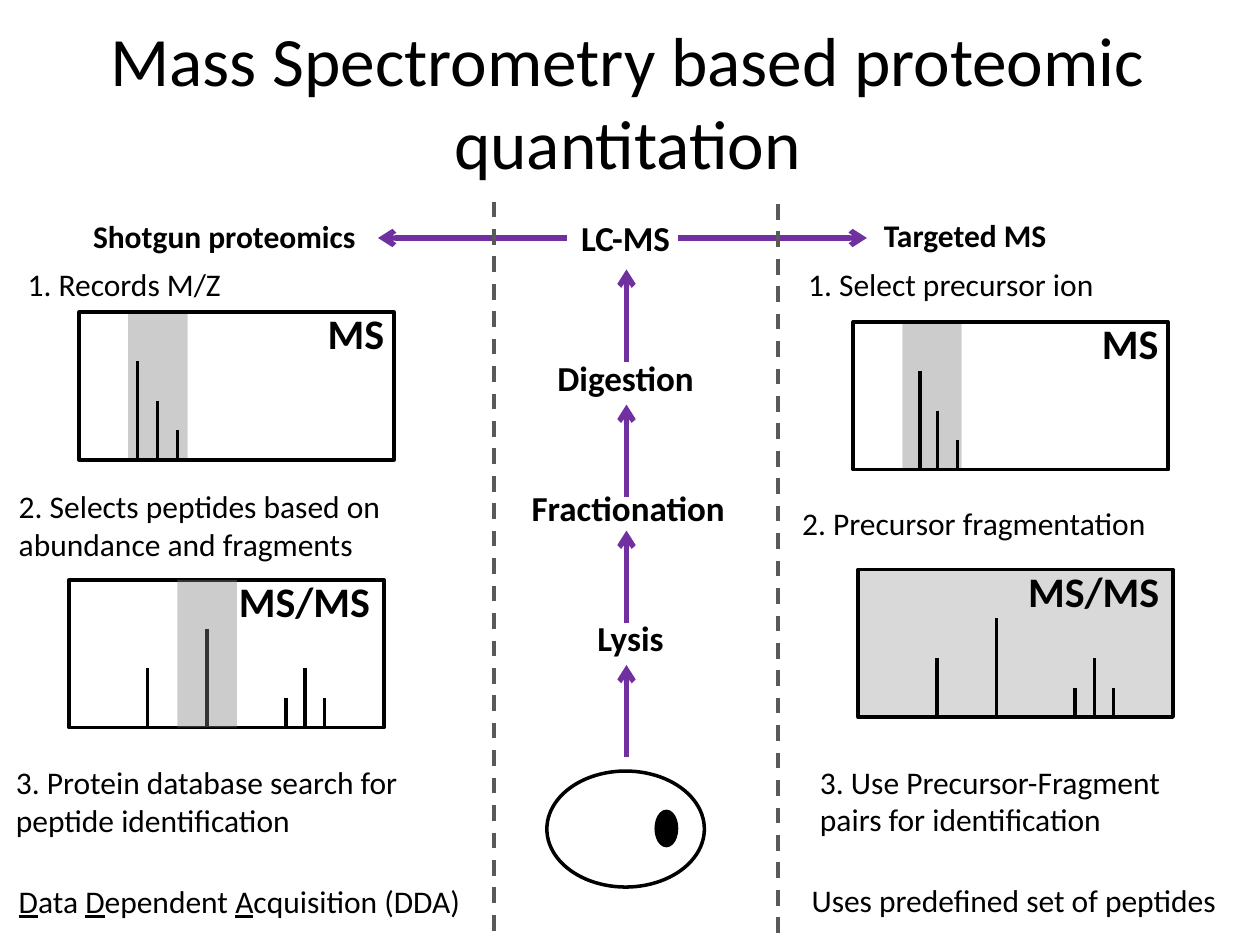
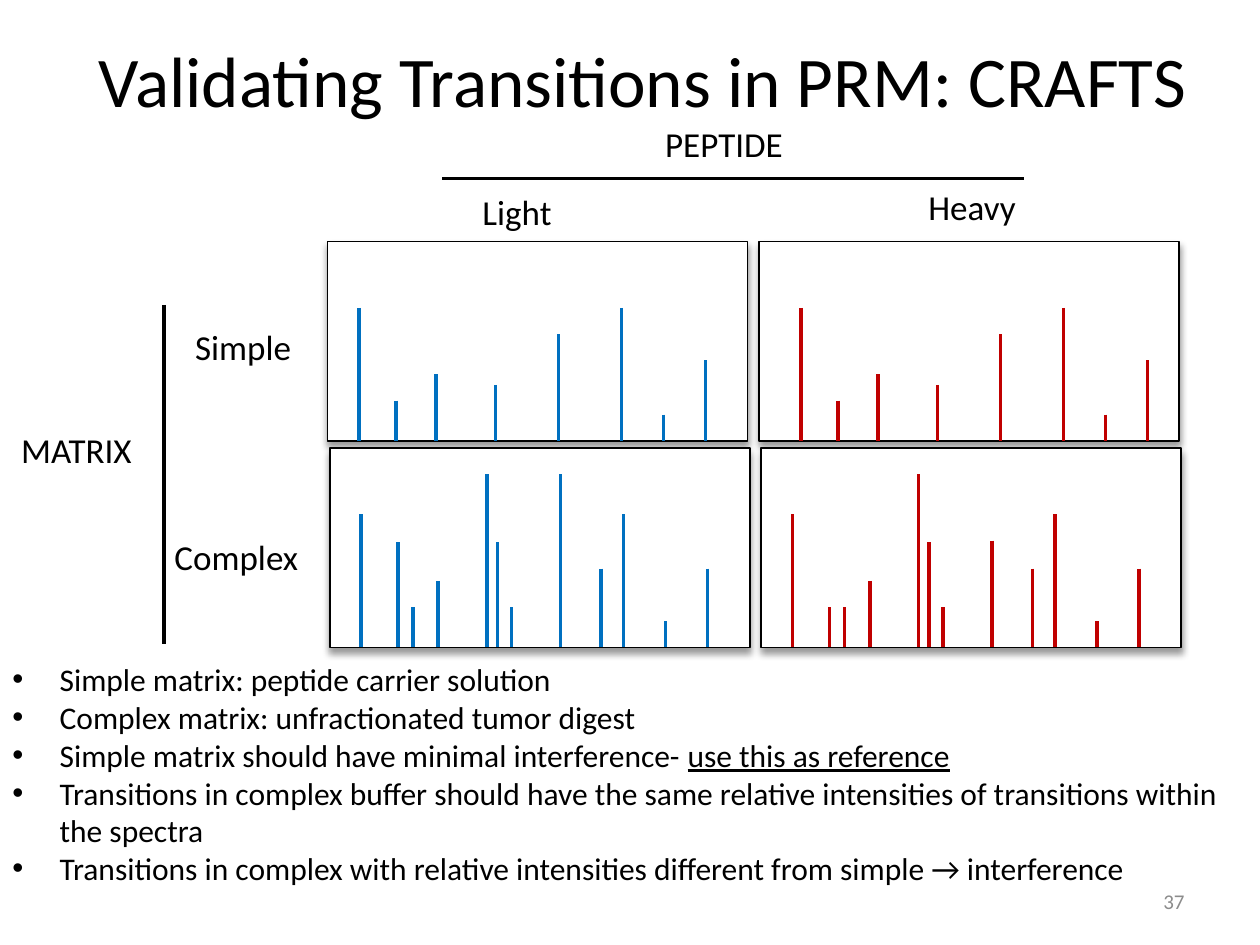
from lxml import etree
from pptx import Presentation
from pptx import util as u
from pptx.dml.color import RGBColor
from pptx.enum import dml, shapes, text
from pptx.oxml.ns import qn

COLORS = {
    "black": "000000",
    "white": "FFFFFF",
    "arrow": "7030A0",
    "divider": "595959",
    "window": "808080",
    "fragmented": "D9D9D9",
    "light": "0070C0",
    "heavy": "C00000",
    "number": "8C8C8C",
}
FONT = "Calibri"
LEFT, CENTER, RIGHT = text.PP_ALIGN.LEFT, text.PP_ALIGN.CENTER, text.PP_ALIGN.RIGHT
SPECTRUM_SIZE = (180, 84.4)
WINDOW_WIDTH = 34
PANEL_SIZE = (240, 114)
PRECURSOR_HEIGHTS = (56.4, 33.8, 16.9)
FRAGMENT_PEAKS = ((45, 33.8), (79, 56.4), (124, 16.9), (135, 33.8), (146, 16.9))
SIMPLE_PEAKS = ((18, 76), (39, 23), (62, 38), (96, 32), (132, 61), (168, 76), (192, 15), (216, 46))
COMPLEX_X = (18, 39, 47.5, 62, 90, 96, 104, 132, 155, 168, 192, 216)
COMPLEX_LIGHT = (76, 60, 23, 38, 99, 60, 23, 99, 45, 76, 15, 45)
COMPLEX_HEAVY = (76, 23, 23, 38, 99, 60, 23, 61, 45, 76, 15, 45)


def rgb(name):
    return RGBColor.from_string(COLORS[name])


def pts(*lengths):
    return [u.Pt(length) for length in lengths]


def add_runs(paragraph, marked, size, color, bold):
    for index, part in enumerate(marked.split("_")):
        if not part:
            continue
        run = paragraph.add_run()
        run.text = part
        run.font.name = FONT
        run.font.size = u.Pt(size)
        run.font.bold = bold
        run.font.underline = index % 2 == 1
        run.font.color.rgb = rgb(color)


def add_text(slide, box, lines, size=18, color="black", bold=False, align=LEFT,
             wrap=True, middle=False, bullets=False):
    frame = slide.shapes.add_textbox(*pts(*box)).text_frame
    frame.word_wrap = wrap
    if middle:
        frame.vertical_anchor = text.MSO_ANCHOR.MIDDLE
    for index, line in enumerate(lines):
        paragraph = frame.paragraphs[0] if index == 0 else frame.add_paragraph()
        paragraph.alignment = align
        if bullets:
            properties = paragraph._p.get_or_add_pPr()
            properties.set("marL", str(u.Pt(27)))
            properties.set("indent", str(u.Pt(-27)))
            etree.SubElement(properties, qn("a:buFont"), typeface="Arial")
            etree.SubElement(properties, qn("a:buChar"), char="•")
        add_runs(paragraph, line, size, color, bold)


def add_title(slide, left, top, title, size):
    add_text(slide, (left, top, 648, 90), [title], size, align=CENTER, middle=True)


def add_label(slide, box, label, size=18, bold=False):
    add_text(slide, box, [label], size, bold=bold, align=CENTER, wrap=False)


def add_line(slide, start, end, color="black", width=2, dashed=False, arrow=False):
    line = slide.shapes.add_connector(shapes.MSO_CONNECTOR.STRAIGHT, *pts(*start, *end))
    line.line.color.rgb = rgb(color)
    line.line.width = u.Pt(width)
    if dashed:
        line.line.dash_style = dml.MSO_LINE.DASH
    properties = line.element.spPr
    if arrow:
        etree.SubElement(properties.find(qn("a:ln")), qn("a:tailEnd"), type="arrow")
    etree.SubElement(properties, qn("a:effectLst"))


def add_figure(slide, box, fill=None, line_width=2, kind=shapes.MSO_SHAPE.RECTANGLE):
    figure = slide.shapes.add_shape(kind, *pts(*box))
    figure.shadow.inherit = False
    if fill:
        figure.fill.solid()
        figure.fill.fore_color.rgb = rgb(fill)
    else:
        figure.fill.background()
    if line_width:
        figure.line.color.rgb = rgb("black")
        figure.line.width = u.Pt(line_width)
    else:
        figure.line.fill.background()
    return figure


def set_alpha(color_element, percent):
    etree.SubElement(color_element, qn("a:alpha"), val=str(percent * 1000))


def add_window(slide, left, top):
    window = add_figure(slide, (left, top, WINDOW_WIDTH, SPECTRUM_SIZE[1]), "window", 0)
    set_alpha(window.element.spPr.find(qn("a:solidFill"))[0], 40)


def add_peaks(slide, left, bottom, peaks, color="black"):
    for offset, height in peaks:
        x = left + offset
        add_line(slide, (x, bottom - height), (x, bottom), color)


def add_precursor_spectrum(slide, left, top, offsets):
    add_window(slide, left + 28, top)
    add_figure(slide, (left, top, *SPECTRUM_SIZE))
    add_peaks(slide, left, top + SPECTRUM_SIZE[1], zip(offsets, PRECURSOR_HEIGHTS))
    add_text(slide, (left + 135, top - 6, 51, 36.5), ["MS"], 24, bold=True, wrap=False)


def add_fragment_spectrum(slide, left, top, fill):
    add_figure(slide, (left, top, *SPECTRUM_SIZE), fill)
    add_peaks(slide, left, top + SPECTRUM_SIZE[1], FRAGMENT_PEAKS)
    add_text(slide, (left + 90, top - 6, 94, 36.5), ["MS/MS"], 24, bold=True, wrap=False)


def add_panel(slide, left, top, peaks, color):
    panel = add_figure(slide, (left, top, *PANEL_SIZE), "white", 1)
    effects = panel.element.spPr.find(qn("a:effectLst"))
    shadow = etree.SubElement(effects, qn("a:outerShdw"), blurRad=str(u.Pt(4)),
                              dist=str(u.Pt(3)), dir="5400000", rotWithShape="0")
    set_alpha(etree.SubElement(shadow, qn("a:srgbClr"), val=COLORS["black"]), 40)
    add_peaks(slide, left, top + PANEL_SIZE[1], peaks, color)


def build_quantitation(slide):
    add_title(slide, 34.6, 12.2, "Mass Spectrometry based proteomic quantitation", 39.6)

    steps = (
        ("LC-MS", (324, 120.2, 67, 31.5), 206.8),
        ("Digestion", (311, 200.2, 93, 31.5), 284),
        ("Fractionation", (296, 274.3, 126, 31.5), 356),
        ("Lysis", (334, 348.5, 52.6, 31.5), 432.8),
    )
    for step, box, arrow_start in steps:
        add_label(slide, box, step, 20, bold=True)
        add_line(slide, (358, arrow_start), (358, arrow_start - 52.8), "arrow", 3, arrow=True)
    for start, end in ((387.4, 495.4), (324, 216)):
        add_line(slide, (start, 136), (end, 136), "arrow", 3, arrow=True)
    for x, top in ((282.4, 115.2), (444.4, 116.6)):
        add_line(slide, (x, top), (x, top + 420), "divider", 2.25, dashed=True)

    oval = shapes.MSO_SHAPE.OVAL
    add_figure(slide, (375, 463.7, 11.6, 19.5), "black", kind=oval)
    add_figure(slide, (312.5, 440.6, 90, 66.3), kind=oval)

    add_label(slide, (45.4, 120.2, 165.6, 29), "Shotgun proteomics", bold=True)
    add_label(slide, (6.5, 147.6, 129, 29), "1. Records M/Z")
    add_precursor_spectrum(slide, 45.2, 178.4, (33.4, 44.8, 56.2))
    add_text(slide, (3.6, 275, 242, 51), ["2. Selects peptides based on abundance and fragments"])
    add_fragment_spectrum(slide, 39.4, 331.3, "white")
    add_window(slide, 101.4, 331.3)
    add_text(slide, (2, 432.5, 266.4, 51), ["3. Protein database search for peptide identification"])
    add_text(slide, (3.6, 500.4, 287.3, 29), ["_D_ata _D_ependent _A_cquisition (DDA)"])

    add_label(slide, (497.5, 120, 108, 29), "Targeted MS", bold=True)
    add_label(slide, (453.6, 147.6, 183.6, 29), "1. Select precursor ion ")
    add_precursor_spectrum(slide, 487.6, 184, (38, 48.2, 59.6))
    add_label(slide, (450, 284.4, 213, 29), "2. Precursor fragmentation")
    add_fragment_spectrum(slide, 490.4, 325.4, "fragmented")
    add_text(slide, (461.5, 432.2, 247, 51), ["3. Use Precursor-Fragment pairs for identification"])
    add_label(slide, (455, 499.8, 252.7, 29), "Uses predefined set of peptides ")


def build_validation(slide):
    add_title(slide, 43.2, 0, "Validating Transitions in PRM: CRAFTS", 40.7)

    headings = (
        ("PEPTIDE", 373, 66.2),
        ("Light", 268.6, 105.2),
        ("Heavy", 523.4, 102.2),
        ("MATRIX", 5, 241.4),
        ("Simple", 104.4, 182.3),
        ("Complex", 92.6, 302.4),
    )
    for heading, left, top in headings:
        add_text(slide, (left, top, 100.8, 31.5), [heading], 20)
    add_line(slide, (252.7, 102), (585.4, 102), width=2.25)
    add_line(slide, (93.6, 174.2), (93.6, 368), width=2.25)

    heavy_simple = [(x + 6, height) for x, height in SIMPLE_PEAKS]
    add_panel(slide, 187.2, 138, SIMPLE_PEAKS, "light")
    add_panel(slide, 433.8, 138, heavy_simple, "heavy")
    add_panel(slide, 188.4, 256, zip(COMPLEX_X, COMPLEX_LIGHT), "light")
    add_panel(slide, 435, 256, zip(COMPLEX_X, COMPLEX_HEAVY), "heavy")

    findings = [
        "Simple matrix: peptide carrier solution",
        "Complex matrix: unfractionated tumor digest",
        "Simple matrix should have minimal interference- _use this as reference_",
        "Transitions in complex buffer should have the same relative intensities "
        "of transitions within the spectra",
        "Transitions in complex with relative intensities different from simple → interference",
    ]
    add_text(slide, (0, 373.7, 713, 138), findings, bullets=True)
    add_text(slide, (516, 500.5, 168, 28.8), ["37"], 12, "number", align=RIGHT, middle=True)


def main():
    deck = Presentation()
    deck.slide_width, deck.slide_height = pts(720, 540)
    for build in (build_quantitation, build_validation):
        build(deck.slides.add_slide(deck.slide_layouts[6]))
    deck.save("out.pptx")


if __name__ == "__main__":
    main()
